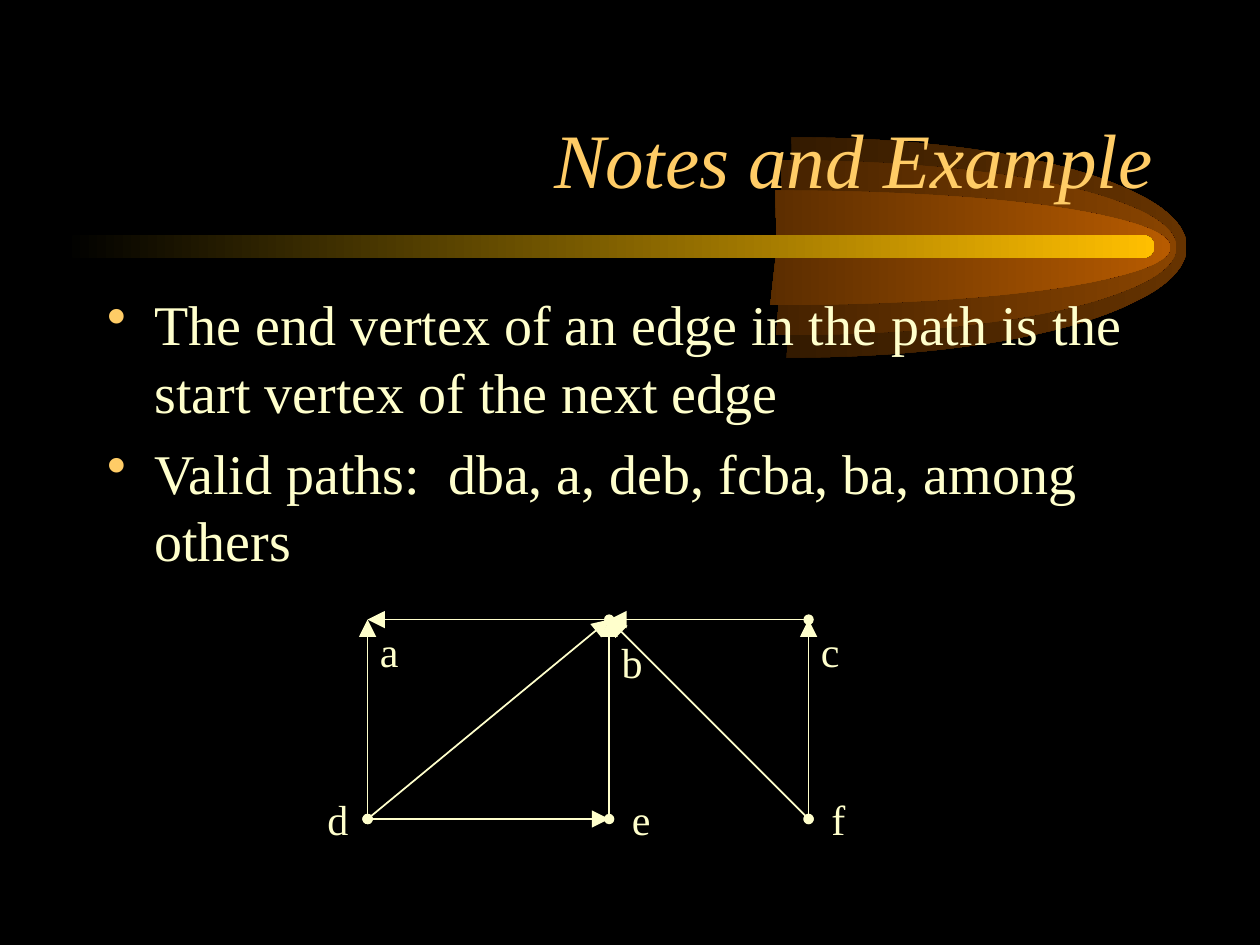
from lxml import etree
from pptx import Presentation
from pptx import util as u
from pptx.dml.color import RGBColor
from pptx.enum import shapes, text
from pptx.oxml import ns

COLOURS = {
    "background": "000000", "text": "FFFFCC", "accent": "FFCC66", "bar": "FFBF00",
    "outer": "663300", "middle": "894400", "inner": "B75B00",
}
COLOURS = {name: RGBColor.from_string(value) for name, value in COLOURS.items()}


def add_text(left, top, width, height, lines, size, colour):
    """Add a text box with one paragraph per line and return its frame."""
    box = page.shapes.add_textbox(u.Cm(left), u.Cm(top), u.Cm(width), u.Cm(height))
    frame = box.text_frame
    frame.word_wrap = True
    for number, line in enumerate(lines):
        para = frame.paragraphs[0] if number == 0 else frame.add_paragraph()
        span = para.add_run()
        span.text = line
        span.font.name = "Times New Roman"
        span.font.size = u.Pt(size)
        span.font.color.rgb = COLOURS[colour]
    return frame


def paint_fade(shape, colour):
    """Fill a shape from the background (left) to a colour (right), without outline."""
    shape.shadow.inherit = False
    shape.line.fill.background()
    shape.fill.gradient()
    shape.fill.gradient_angle = 0
    for stop, name in zip(shape.fill.gradient_stops, ("background", colour)):
        stop.color.rgb = COLOURS[name]


deck = Presentation()
deck.slide_width, deck.slide_height = u.Cm(25.4), u.Cm(19.05)
page = deck.slides.add_slide(deck.slide_layouts[6])
page.background.fill.solid()
page.background.fill.fore_color.rgb = COLOURS["background"]

# Comet head: control points of three Bezier curves, then the middle of the left edge;
# x in cm from the upper left corner, y as share of the height
outline = [
    (2.84, 0), (5.49, 0.09), (6.91, 0.25),
    (8.33, 0.4), (8.31, 0.6), (6.88, 0.75),
    (5.46, 0.91), (2.82, 1), (-0.1, 1),
    (0.03, 0.5),
]
# The drawn part fills only the right half of its frame, so the fade starts half-way
frame_width, drawn_from = u.Cm(15.9), u.Cm(7.83)
for name, left, top, height in [("outer", 8.03, 2.77, 4.44),
                                ("middle", 7.82, 3.23, 3.53),
                                ("inner", 7.7, 3.84, 2.31)]:
    builder = page.shapes.build_freeform(u.Cm(left), u.Cm(top))
    builder.add_line_segments([(u.Cm(left + x), u.Cm(top + y * height)) for x, y in outline])
    head = builder.convert_to_shape()
    head.left, head.width = u.Cm(left), frame_width
    contour = head._element.find(".//" + ns.qn("a:path"))
    contour.set("w", str(frame_width))
    for point in contour.iter(ns.qn("a:pt")):
        point.set("x", str(int(point.get("x")) + drawn_from))
    segments = contour.findall(ns.qn("a:lnTo"))
    for first in range(0, 9, 3):
        curve = etree.Element(ns.qn("a:cubicBezTo"))
        segments[first].addprevious(curve)
        for segment in segments[first:first + 3]:
            curve.append(segment[0])
            contour.remove(segment)
    paint_fade(head, name)

bar = page.shapes.add_shape(shapes.MSO_SHAPE.ROUNDED_RECTANGLE,
                            u.Cm(1.27), u.Cm(4.74), u.Cm(22), u.Cm(0.46))
bar.adjustments[0] = 0.5
paint_fade(bar, "bar")

title = add_text(1.91, 1.06, 21.59, 3.17, ["Notes and Example"], 44, "accent")
title.vertical_anchor = text.MSO_ANCHOR.BOTTOM
title.paragraphs[0].alignment = text.PP_ALIGN.RIGHT
title.paragraphs[0].runs[0].font.italic = True

body = add_text(1.91, 5.72, 21.59, 11.43, [
    "The end vertex of an edge in the path is the start vertex of the next edge",
    "Valid paths:  dba, a, deb, fcba, ba, among others",
], 32, "text")
for para in body.paragraphs:
    para.space_before = u.Pt(8)
    props = para._p.get_or_add_pPr()
    props.set("marL", str(u.Cm(0.95)))
    props.set("indent", str(-u.Cm(0.95)))
    bullet_colour = etree.SubElement(props, ns.qn("a:buClr"))
    etree.SubElement(bullet_colour, ns.qn("a:srgbClr"), val=str(COLOURS["accent"]))
    etree.SubElement(props, ns.qn("a:buChar"), char="•")

# Graph: vertices on a grid of three columns and two rows
columns, rows = (7.41, 12.28, 16.3), (12.49, 16.51)
vertices = dict(zip("abcdef", [(x, y) for y in rows for x in columns]))
for start, end in ["da", "db", "de", "fb", "eb", "cb", "fc", "ba"]:
    ends = [u.Cm(value) for value in vertices[start] + vertices[end]]
    edge = page.shapes.add_connector(shapes.MSO_CONNECTOR.STRAIGHT, *ends)
    edge.line.color.rgb = COLOURS["text"]
    edge.line.width = u.Pt(1)
    line = edge.line._get_or_add_ln()
    etree.SubElement(line, ns.qn("a:headEnd"), type="oval")
    etree.SubElement(line, ns.qn("a:tailEnd"), type="triangle", w="lg", len="lg")
    etree.SubElement(edge._element.spPr, ns.qn("a:effectLst"))

label_offsets = {"a": (0, 0), "b": (0, 0.21), "c": (0, 0),
                 "f": (0.21, -0.63), "e": (0.21, -0.63), "d": (-1.06, -0.63)}
for name, (right, down) in label_offsets.items():
    x, y = vertices[name]
    add_text(x + right, y + down, 1.06, 1.27, [name], 24, "text")

deck.save("out.pptx")
